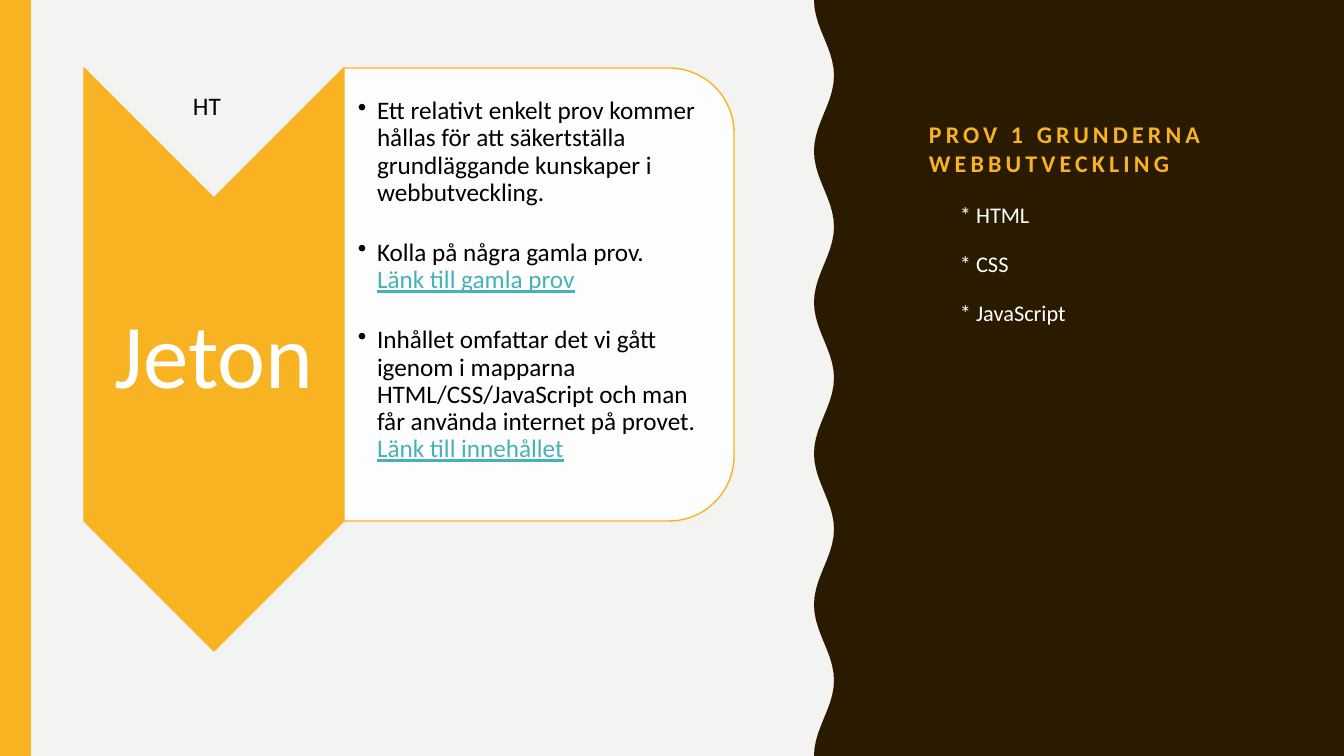
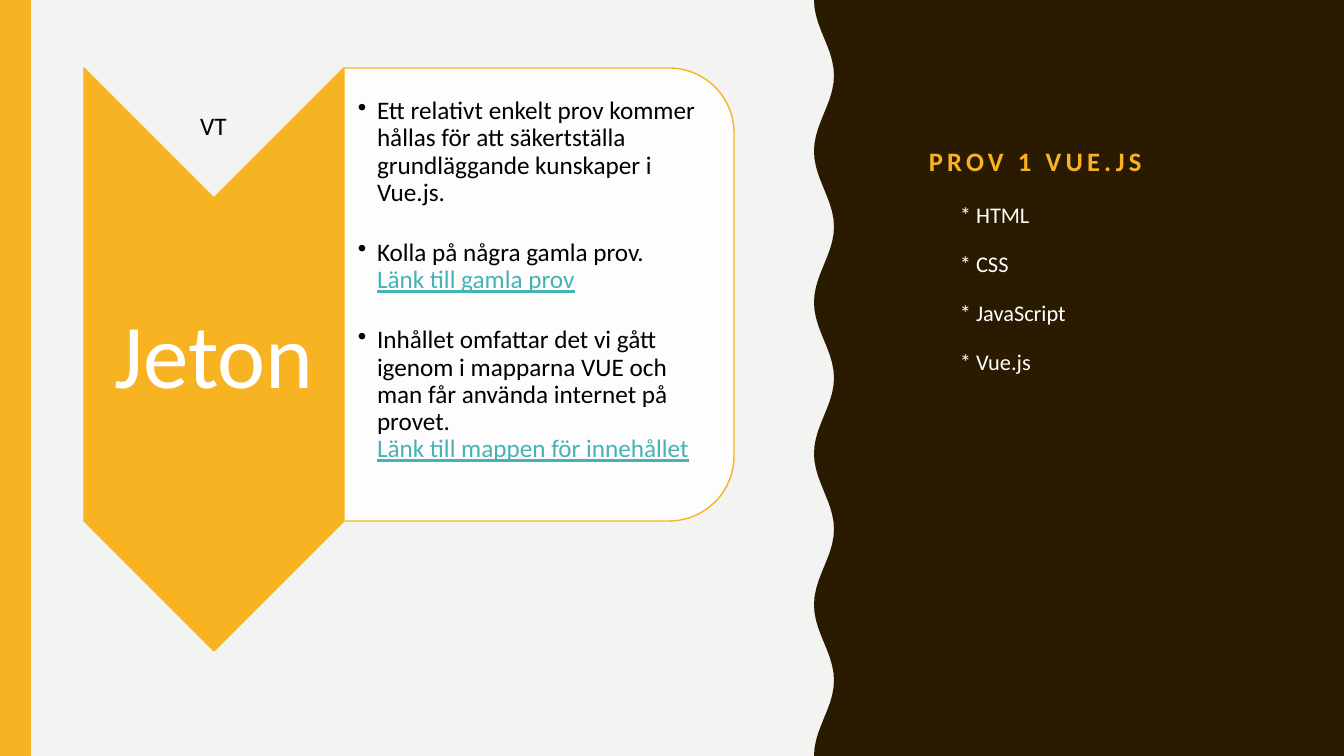
import math

from pptx import Presentation
from pptx import util as u
from pptx.dml.color import RGBColor
from pptx.enum import shapes, text
from pptx.oxml.ns import qn
from lxml import etree

SCALE = 914400 / 100.8
WIDTH, HEIGHT = 1344, 756
FONT = "Calibri"
COLORS = {
    "background": "F3F3F2",
    "dark": "2A1A00",
    "accent": "F8B323",
    "white": "FFFFFF",
    "black": "000000",
    "link": "46B2B5",
}
EXAMS = [
    {
        "title": "PROV 1 GRUNDERNA WEBBUTVECKLING",
        "title_size": 17.1,
        "topics": ["HTML", "CSS", "JavaScript"],
        "term": ("HT", 183, 85),
        "subject": "webbutveckling",
        "folders": "HTML/CSS/JavaScript",
        "content_link": "Länk till innehållet",
    },
    {
        "title": "PROV 1 VUE.JS",
        "title_size": 19,
        "topics": ["HTML", "CSS", "JavaScript", "Vue.js"],
        "term": ("VT", 190, 105),
        "subject": "Vue.js",
        "folders": "VUE",
        "content_link": "Länk till mappen för innehållet",
    },
]


def px(length):
    return u.Emu(round(length * SCALE))


def color(name):
    return RGBColor.from_string(COLORS[name])


def paint(shape, fill, line=None):
    shape.shadow.inherit = False
    shape.fill.solid()
    shape.fill.fore_color.rgb = color(fill)
    if line:
        shape.line.color.rgb = color(line)
        shape.line.width = u.Pt(1)
    else:
        shape.line.fill.background()


def add_band(slide):
    band = slide.shapes.add_shape(
        shapes.MSO_SHAPE.RECTANGLE, 0, 0, px(31), px(HEIGHT))
    paint(band, "accent")


def add_wavy_panel(slide, middle=824, swing=10, waves=5, steps=100):
    edge = []
    for step in range(steps + 1):
        part = 1 - step / steps
        x = middle - swing * math.cos(2 * math.pi * waves * part)
        edge.append((px(x), px(HEIGHT * part)))
    outline = slide.shapes.build_freeform(px(middle - swing), 0)
    outline.add_line_segments([(px(WIDTH), 0), (px(WIDTH), px(HEIGHT))] + edge)
    paint(outline.convert_to_shape(), "dark")


def add_quarter_turned(slide, kind, left, top, width, height, fill):
    shape = slide.shapes.add_shape(
        kind, px(left + (width - height) / 2), px(top + (height - width) / 2),
        px(height), px(width))
    shape.rotation = 90
    paint(shape, fill, "accent")
    return shape


def set_opacity(shape, percent):
    tint = shape.fill._xPr.find(qn("a:solidFill"))[0]
    etree.SubElement(tint, qn("a:alpha"), val=str(percent * 1000))


def add_frame(slide, left, top, width, height, insets=(10, 5, 10, 5),
              anchor=text.MSO_ANCHOR.TOP):
    frame = slide.shapes.add_textbox(
        px(left), px(top), px(width), px(height)).text_frame
    frame.word_wrap = True
    frame.vertical_anchor = anchor
    (frame.margin_left, frame.margin_top,
     frame.margin_right, frame.margin_bottom) = map(px, insets)
    return frame


def style(paragraph, size, tint, bold=False):
    font = paragraph.font
    font.name = FONT
    font.size = u.Pt(size)
    font.bold = bold
    font.color.rgb = color(tint)


def paragraphs(frame, count):
    return [frame.paragraphs[0]] + [
        frame.add_paragraph() for _ in range(count - 1)]


def add_title(slide, title, size):
    frame = add_frame(slide, 919, 50, 341, 132, anchor=text.MSO_ANCHOR.BOTTOM)
    heading = frame.paragraphs[0]
    heading.text = title
    style(heading, size, "accent", bold=True)
    heading.font._element.set("spc", "300")


def add_topics(slide, topics):
    frame = add_frame(slide, 919, 191, 341, 459, insets=(41, 5, 10, 5))
    for paragraph, topic in zip(paragraphs(frame, len(topics)), topics):
        paragraph.text = f"* {topic}"
        paragraph.line_spacing = 1.2
        paragraph.space_before = u.Pt(12)
        style(paragraph, 16, "white")


def add_name(slide, name):
    frame = add_frame(slide, 84, 198, 260, 323, insets=(5, 5, 5, 5),
                      anchor=text.MSO_ANCHOR.MIDDLE)
    paragraph = frame.paragraphs[0]
    paragraph.text = name
    paragraph.alignment = text.PP_ALIGN.CENTER
    paragraph.line_spacing = 0.9
    style(paragraph, 65, "white")


def add_bullet(paragraph, indent):
    properties = paragraph._p.get_or_add_pPr()
    properties.set("marL", str(px(indent)))
    properties.set("indent", str(px(-indent)))
    bullet = etree.Element(qn("a:buChar"), char="•")
    properties.find(qn("a:defRPr")).addprevious(bullet)


def add_details(slide, details):
    frame = add_frame(slide, 344, 98, 371, 393, insets=(14, 0, 1, 0))
    for paragraph, (body, link) in zip(paragraphs(frame, len(details)), details):
        paragraph.line_spacing = 0.9
        paragraph.space_after = u.Pt(23.5)
        style(paragraph, 18, "black")
        add_bullet(paragraph, 19)
        paragraph.add_run().text = body
        if link:
            paragraph.add_line_break()
            run = paragraph.add_run()
            run.text = link
            run.font.underline = True
            run.font.color.rgb = color("link")


def add_term(slide, term, left, top):
    paragraph = add_frame(slide, left, top, 54, 40).paragraphs[0]
    paragraph.text = term
    style(paragraph, 18, "black")


def add_exam(prs, exam):
    slide = prs.slides.add_slide(prs.slide_layouts[6])
    add_wavy_panel(slide)
    add_band(slide)
    add_title(slide, exam["title"], exam["title_size"])
    add_topics(slide, exam["topics"])
    add_quarter_turned(
        slide, shapes.MSO_SHAPE.CHEVRON, 84, 68, 260, 583, "accent")
    add_name(slide, "Jeton")
    card = add_quarter_turned(
        slide, shapes.MSO_SHAPE.ROUND_2_SAME_RECTANGLE, 344, 68, 390, 453, "white")
    set_opacity(card, 90)
    add_details(slide, [
        ("Ett relativt enkelt prov kommer hållas för att säkertställa "
         f"grundläggande kunskaper i {exam['subject']}.", None),
        ("Kolla på några gamla prov.", "Länk till gamla prov"),
        (f"Inhållet omfattar det vi gått igenom i mapparna {exam['folders']} "
         "och man får använda internet på provet.", exam["content_link"]),
    ])
    add_term(slide, *exam["term"])


def main():
    prs = Presentation()
    prs.slide_width, prs.slide_height = px(WIDTH), px(HEIGHT)
    backdrop = prs.slide_master.background.fill
    backdrop.solid()
    backdrop.fore_color.rgb = color("background")
    for exam in EXAMS:
        add_exam(prs, exam)
    prs.save("out.pptx")


if __name__ == "__main__":
    main()
